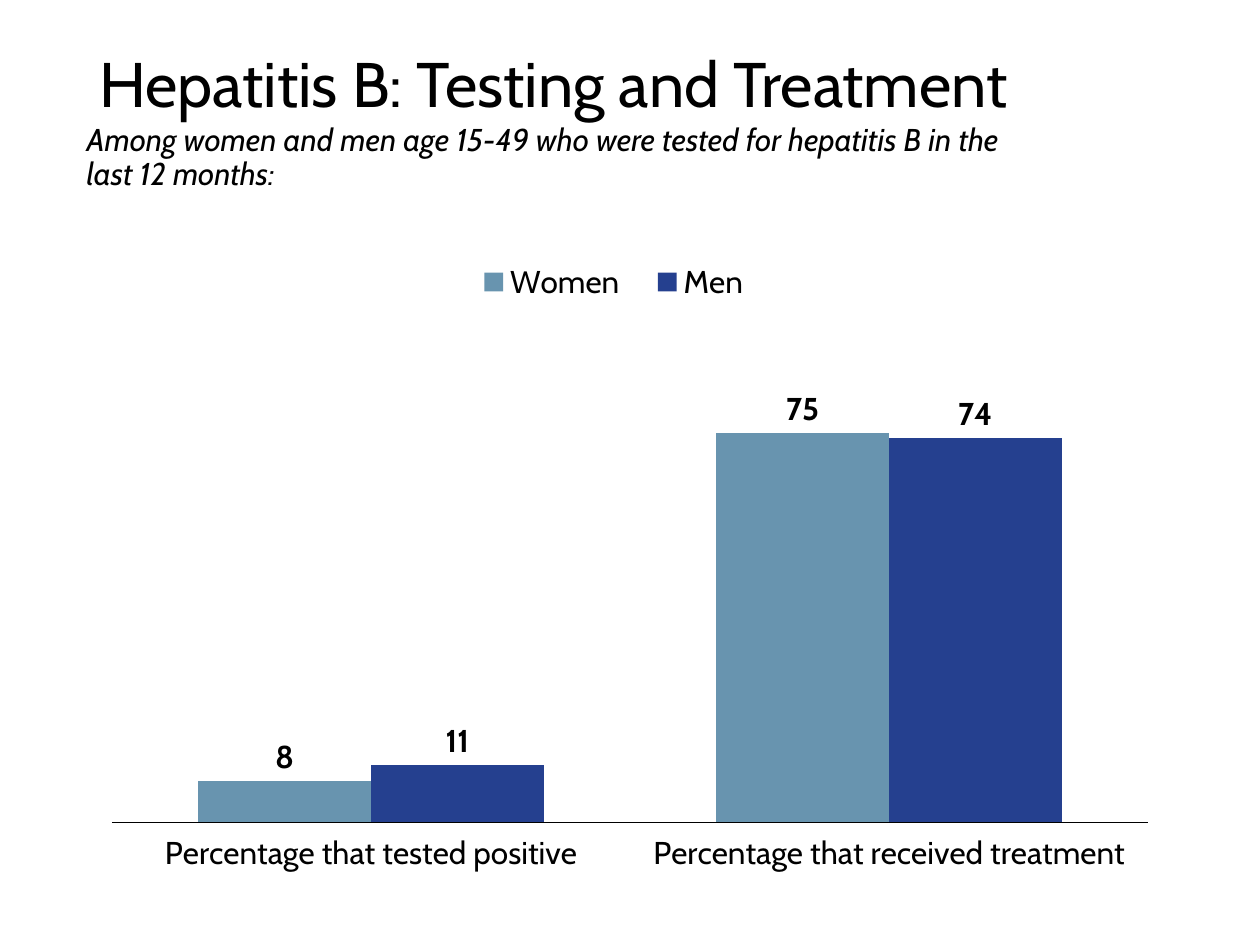
from lxml import etree
from pptx import Presentation
from pptx.chart.data import CategoryChartData
from pptx.dml.color import RGBColor
from pptx.enum.chart import (XL_CHART_TYPE, XL_LABEL_POSITION,
                             XL_LEGEND_POSITION, XL_TICK_LABEL_POSITION,
                             XL_TICK_MARK)
from pptx.enum.text import MSO_ANCHOR, MSO_AUTO_SIZE, PP_ALIGN
from pptx.oxml.ns import qn
from pptx.util import Pt

COLUMN = XL_CHART_TYPE.COLUMN_CLUSTERED
OUTSIDE = XL_LABEL_POSITION.OUTSIDE_END
RIGHT = XL_LEGEND_POSITION.RIGHT
LOW = XL_TICK_LABEL_POSITION.LOW
NO_TICK = XL_TICK_MARK.NONE
MIDDLE, TOP = MSO_ANCHOR.MIDDLE, MSO_ANCHOR.TOP
NO_FIT = MSO_AUTO_SIZE.NONE
LEFT = PP_ALIGN.LEFT

FACE = "Cabin"
BLACK = "000000"
GROUPS = ["Percentage that tested positive",
          "Percentage that received treatment"]
SERIES = [("Women", [8, 75], "6894AF"),
          ("Men", [11, 74], "25408F")]


def paint(color, code):
    color.rgb = RGBColor.from_string(code)


def style(font, size, bold=False, italic=False):
    font.name = FACE
    font.size = Pt(size)
    font.bold = bold
    font.italic = italic
    font.fill.solid()
    paint(font.fill.fore_color, BLACK)


def write(shape, text, size, anchor, italic=False, before=0):
    frame = shape.text_frame
    frame.text = text
    frame.word_wrap = True
    frame.auto_size = NO_FIT
    frame.vertical_anchor = anchor
    para = frame.paragraphs[0]
    para.alignment = LEFT
    para.line_spacing = 0.9
    para.space_before = Pt(before)
    style(para.runs[0].font, size, italic=italic)


def place(shape, left, top, width, height):
    shape.left, shape.top = Pt(left), Pt(top)
    shape.width, shape.height = Pt(width), Pt(height)


def lay_out(part, box, inner=False):
    """Set a manual layout, in fractions of the chart, on a chart part."""
    layout = part.find(qn("c:layout"))
    if layout is None:
        layout = etree.Element(qn("c:layout"))
        # The legend's layout follows its position; the plot's comes first
        spot = part.find(qn("c:legendPos"))
        part.insert(0 if spot is None else part.index(spot) + 1, layout)
    manual = etree.SubElement(layout, qn("c:manualLayout"))
    rules = [("layoutTarget", "inner")] if inner else []
    rules += [("xMode", "edge"), ("yMode", "edge"), *zip("xywh", box)]
    for name, value in rules:
        etree.SubElement(manual, qn("c:" + name)).set("val", str(value))


def add_bars(slide):
    data = CategoryChartData()
    data.categories = GROUPS
    for name, values, _ in SERIES:
        data.add_series(name, values)
    frame = slide.shapes.add_chart(COLUMN, Pt(49.68), Pt(141.12),
                                   Pt(620.64), Pt(365.04), data)
    chart = frame.chart
    chart.has_title = False
    style(chart.font, 18)

    # Axes
    scale = chart.value_axis
    scale.minimum_scale, scale.maximum_scale = 0, 100
    scale.has_major_gridlines = False
    scale.visible = False
    axis = chart.category_axis
    axis.major_tick_mark = axis.minor_tick_mark = NO_TICK
    axis.tick_label_position = LOW
    style(axis.tick_labels.font, 18)
    axis.format.line.width = Pt(0.75)
    axis.format.line.fill.solid()
    paint(axis.format.line.fill.fore_color, BLACK)

    # Columns and their values
    plot = chart.plots[0]
    plot.gap_width, plot.overlap = 100, 0
    plot.vary_by_categories = False
    for series, (_, _, code) in zip(plot.series, SERIES):
        series.format.fill.solid()
        paint(series.format.fill.fore_color, code)
        labels = series.data_labels
        labels.show_value = True
        labels.position = OUTSIDE
        style(labels.font, 18, bold=True)

    # Legend above the columns
    chart.has_legend = True
    legend = chart.legend
    legend.position = RIGHT
    legend.include_in_layout = False
    style(legend.font, 18)
    area = chart.element.find(".//" + qn("c:plotArea"))
    lay_out(area, (0.023, 0.088, 0.954, 0.813), inner=True)
    lay_out(chart.element.find(".//" + qn("c:legend")),
            (0.34, 0.01, 0.29, 0.09))


def main():
    deck = Presentation()
    deck.slide_width, deck.slide_height = Pt(720), Pt(540)
    slide = deck.slides.add_slide(deck.slide_layouts[5])

    # Title
    title = slide.shapes.title
    place(title, 49.68, 12.96, 620.64, 73.44)
    write(title, "Hepatitis B: Testing and Treatment", 36, MIDDLE)

    # Chart
    add_bars(slide)

    # Who was asked
    note = slide.shapes.add_textbox(Pt(42.48), Pt(67.68), Pt(537.84), Pt(48.24))
    write(note, "Among women and men age 15-49 who were tested for "
          "hepatitis B in the last 12 months:", 18, TOP, italic=True, before=10)

    deck.save("out.pptx")


if __name__ == "__main__":
    main()
